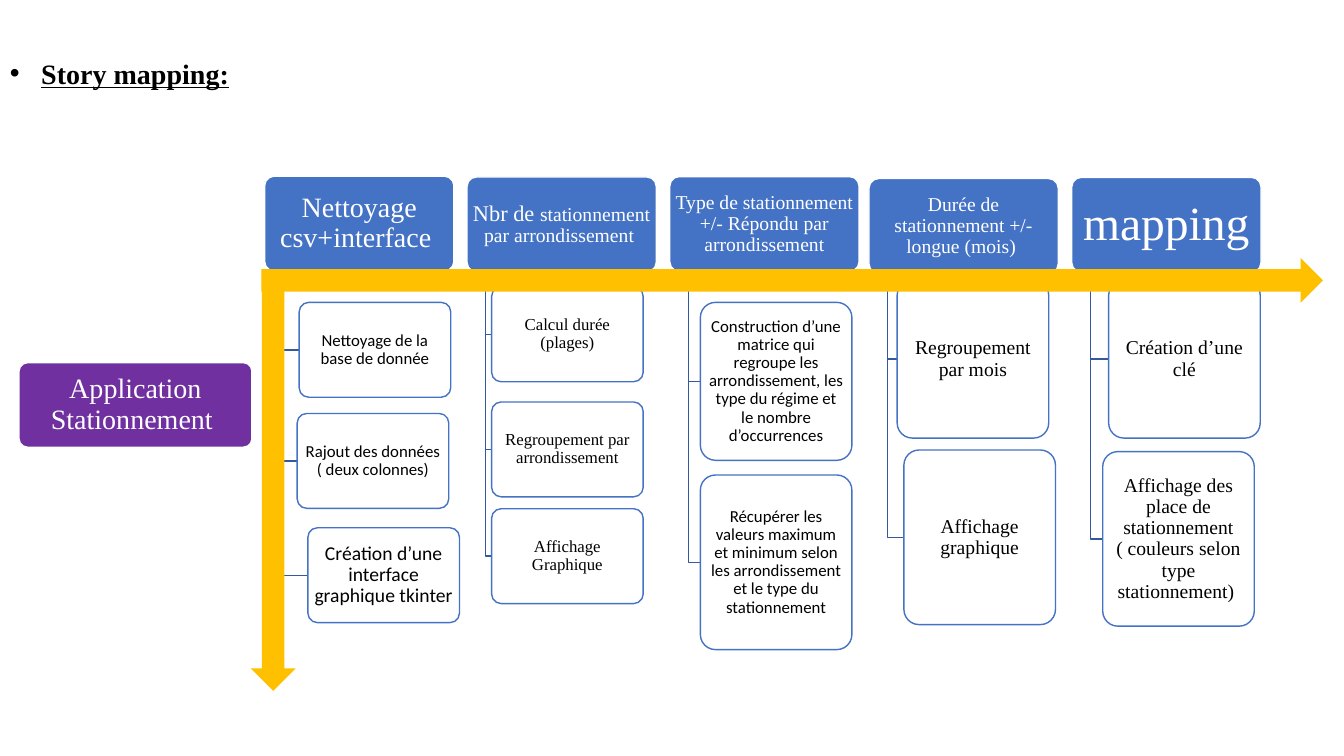
from lxml.etree import SubElement
from pptx import Presentation
from pptx.dml.color import RGBColor
from pptx.enum.shapes import MSO_SHAPE
from pptx.enum.text import MSO_ANCHOR, PP_ALIGN
from pptx.oxml.ns import qn
from pptx.util import Cm, Pt

BLUE = RGBColor(0x44, 0x72, 0xC4)
LINK_BLUE = RGBColor(0x34, 0x59, 0x9C)
PURPLE = RGBColor(0x70, 0x30, 0xA0)
GOLD = RGBColor(0xFF, 0xC0, 0x00)
WHITE = RGBColor(0xFF, 0xFF, 0xFF)
BLACK = RGBColor(0x00, 0x00, 0x00)
SERIF = "Times New Roman"
SANS = "Calibri"

HEADER_WIDTH, HEADER_HEIGHT = 4.77, 2.39
CARD_WIDTH = 3.82
TRUNK_OFFSET = 0.47  # from a header's left edge to its vertical link
LOW, MEDIUM, HIGH = 2.39, 3.98, 4.4  # card heights

# Header left, header top, header runs (text, size),
# cards (left, top, height, font, size, text)
COLUMNS = [
    (6.67, 4.44, [("Nettoyage csv+interface ", 20)], [
        (7.54, 7.62, LOW, SANS, 12, "Nettoyage de la base de donnée"),
        (7.49, 10.42, LOW, SANS, 12, "Rajout des données ( deux colonnes)"),
        (7.76, 13.3, LOW, SANS, 14, "Création d’une interface graphique tkinter"),
    ]),
    (11.77, 4.46, [("Nbr de ", 16), ("stationnement par arrondissement ", 14)], [
        (12.39, 7.23, LOW, SERIF, 12, "Calcul durée (plages)"),
        (12.39, 10.13, LOW, SERIF, 12, "Regroupement par arrondissement"),
        (12.39, 12.82, LOW, SERIF, 12, "Affichage Graphique"),
    ]),
    (16.88, 4.45, [("Type de stationnement +/- Répondu par arrondissement", 14)], [
        (17.65, 7.62, MEDIUM, SANS, 12,
         "Construction d’une matrice qui regroupe les arrondissement, "
         "les type du régime et le nombre d’occurrences"),
        (17.65, 11.97, HIGH, SANS, 12,
         "Récupérer les valeurs maximum et minimum selon "
         "les arrondissement et le type du stationnement"),
    ]),
    (21.9, 4.5, [("Durée de stationnement +/- longue (mois) ", 14)], [
        (22.61, 7.06, MEDIUM, SERIF, 14, "Regroupement par mois"),
        (22.78, 11.34, HIGH, SERIF, 14, "Affichage graphique"),
    ]),
    (27.01, 4.47, [("mapping", 34)], [
        (27.94, 7.06, MEDIUM, SERIF, 14, "Création d’une clé"),
        (27.79, 11.38, HIGH, SERIF, 14,
         "Affichage des place de stationnement ( couleurs selon type stationnement) "),
    ]),
]

presentation = Presentation()
presentation.slide_width, presentation.slide_height = Cm(33.87), Cm(19.05)
slide = presentation.slides.add_slide(presentation.slide_layouts[6])


def add_filled_shape(preset, left, top, width, height, fill):
    shape = slide.shapes.add_shape(preset, Cm(left), Cm(top), Cm(width), Cm(height))
    shape.shadow.inherit = False
    shape.fill.solid()
    shape.fill.fore_color.rgb = fill
    shape.line.fill.background()
    return shape


def add_rounded_box(left, top, width, height, fill, line, inset, runs, font_name, text_color):
    """Add a rounded box with centred text made of (text, size) runs."""
    box = add_filled_shape(MSO_SHAPE.ROUNDED_RECTANGLE, left, top, width, height, fill)
    box.adjustments[0] = 0.1
    box.line.color.rgb = line
    box.line.width = Pt(1)
    frame = box.text_frame
    frame.word_wrap = True
    frame.vertical_anchor = MSO_ANCHOR.MIDDLE
    frame.margin_left = frame.margin_right = Cm(inset)
    frame.margin_top = frame.margin_bottom = Cm(0.1)
    paragraph = frame.paragraphs[0]
    paragraph.alignment = PP_ALIGN.CENTER
    paragraph.line_spacing = 0.9
    for text, size in runs:
        run = paragraph.add_run()
        run.text = text
        run.font.name = font_name
        run.font.size = Pt(size)
        run.font.color.rgb = text_color
    return box


# Title
title = slide.shapes.add_textbox(Cm(0), Cm(1.3), Cm(31), Cm(1.3))
title.text_frame.word_wrap = True
paragraph = title.text_frame.paragraphs[0]
paragraph.text = "Story mapping:"
properties = paragraph._p.get_or_add_pPr()
properties.set("marL", str(Cm(0.79)))
properties.set("indent", str(-Cm(0.79)))
bullet_color = SubElement(properties, qn("a:buClr"))
SubElement(bullet_color, qn("a:srgbClr"), val=str(BLACK))
SubElement(properties, qn("a:buFont"), typeface="Arial")
SubElement(properties, qn("a:buChar"), char="•")
font = paragraph.runs[0].font
font.name, font.size = SERIF, Pt(20)
font.bold = font.underline = True
font.color.rgb = BLACK

# Application
add_rounded_box(0.48, 9.14, 5.87, 2.13, PURPLE, WHITE, 0.1,
                [("Application Stationnement ", 20)], SERIF, WHITE)

# Activities with their linked cards
for header_left, header_top, header_runs, cards in COLUMNS:
    add_rounded_box(header_left, header_top, HEADER_WIDTH, HEADER_HEIGHT,
                    BLUE, WHITE, 0.05, header_runs, SERIF, WHITE)
    trunk = Cm(header_left + TRUNK_OFFSET)
    for left, top, height, font_name, size, text in cards:
        middle = Cm(top + height / 2)
        builder = slide.shapes.build_freeform(trunk, Cm(header_top + HEADER_HEIGHT))
        builder.add_line_segments([(trunk, middle), (Cm(left), middle)], close=False)
        link = builder.convert_to_shape()
        link.shadow.inherit = False
        link.fill.background()
        link.line.color.rgb = LINK_BLUE
        link.line.width = Pt(1)

        card = add_rounded_box(left, top, CARD_WIDTH, height, WHITE, BLUE, 0.08,
                               [(text, size)], font_name, BLACK)
        fill_color = card.fill._xPr.find(qn("a:solidFill"))[0]
        SubElement(fill_color, qn("a:alpha"), val="90000")

# Axes
add_filled_shape(MSO_SHAPE.DOWN_ARROW, 6.32, 6.79, 1.13, 10.62, GOLD)
add_filled_shape(MSO_SHAPE.RIGHT_ARROW, 6.59, 6.5, 26.75, 1.13, GOLD)

presentation.save("out.pptx")
